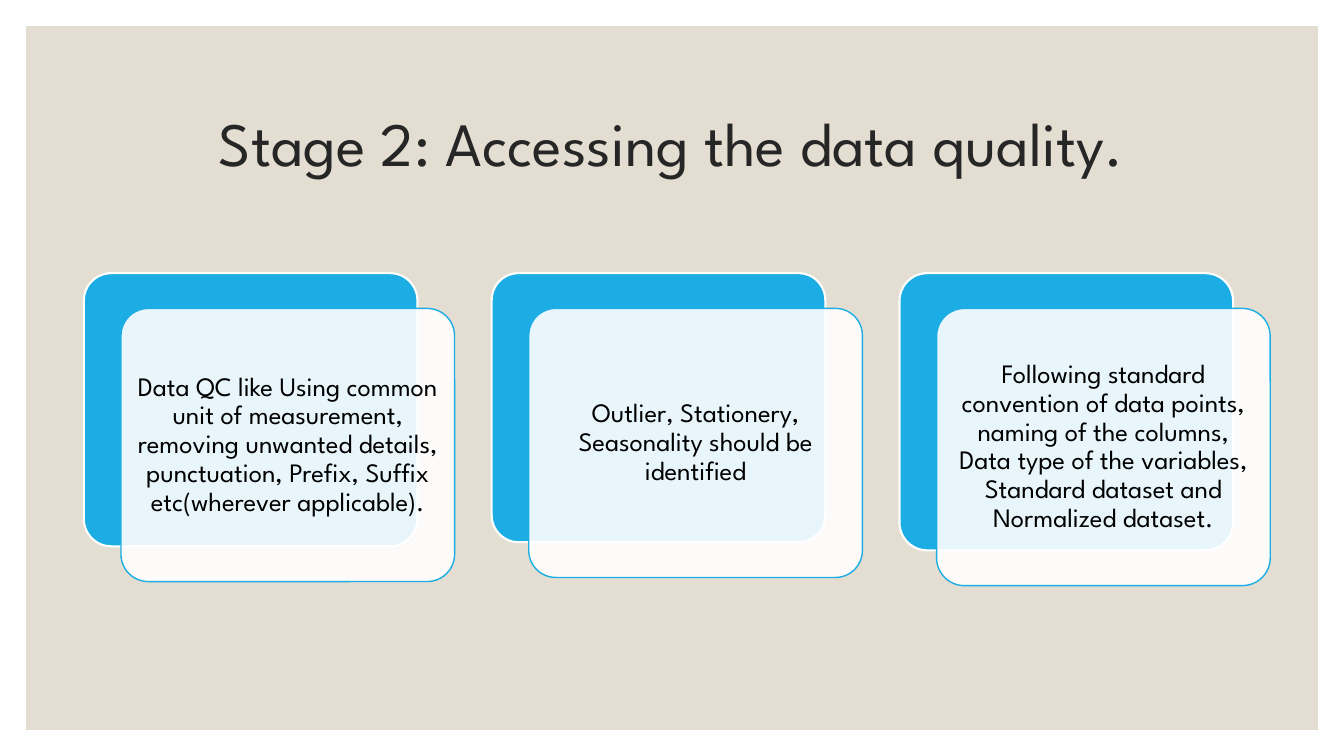
from lxml.etree import SubElement
from pptx import Presentation
from pptx.dml.color import RGBColor
from pptx.enum.shapes import MSO_SHAPE
from pptx.enum.text import MSO_ANCHOR, PP_ALIGN
from pptx.oxml.ns import qn
from pptx.util import Pt

# Content: title, then card text with card height
TITLE = "Stage 2: Accessing the data quality."
CARDS = [
    ("Data QC like Using common unit of measurement, removing unwanted details, "
     "punctuation, Prefix, Suffix etc(wherever applicable).", 195.1),
    ("Outlier, Stationery, Seasonality should be identified", 192.2),
    ("Following standard convention of data points, naming of the columns, "
     "Data type of the variables, Standard dataset and Normalized dataset.", 198),
]

THEME = {
    "font": "League Spartan", "title": 44, "body": 19,
    "sand": "E3DED1", "blue": "1CADE4", "white": "FFFFFF",
    "dark": "262626", "black": "000000",
}

# Layout in points
WIDE, HIGH = 960, 540
EDGE = 18.7
LEFT, TOP, STEP, CARD = 59.9, 195.1, 291.3, 238.3
SHIFT, DROP = 26.5, 25.2
PAD = 5.8


def color(name):
    return RGBColor.from_string(THEME[name])


def assign(item, values):
    for key, value in values.items():
        setattr(item, key, value)


def panel(slide, kind, box, fill, line=None, weight=0):
    shape = slide.shapes.add_shape(kind, *map(Pt, box))
    shape.shadow.inherit = False
    shape.fill.solid()
    shape.fill.fore_color.rgb = color(fill)
    if line:
        shape.line.color.rgb = color(line)
        shape.line.width = Pt(weight)
        shape.adjustments[0] = 0.1
    else:
        shape.line.fill.background()
    return shape


def write(shape, text, size, tone, pad):
    frame = shape.text_frame
    assign(frame, {"word_wrap": True, "vertical_anchor": MSO_ANCHOR.MIDDLE})
    assign(frame, {f"margin_{side}": Pt(pad)
                   for side in ("left", "right", "top", "bottom")})
    para = frame.paragraphs[0]
    assign(para, {"text": text, "alignment": PP_ALIGN.CENTER, "line_spacing": 0.9})
    assign(para.runs[0].font, {"name": THEME["font"], "size": Pt(THEME[size])})
    para.runs[0].font.color.rgb = color(tone)


def fade(shape, percent):
    tint = shape.fill._xPr.find(qn("a:solidFill"))[0]
    SubElement(tint, qn("a:alpha")).set("val", str(percent * 1000))


def main():
    deck = Presentation()
    assign(deck, {"slide_width": Pt(WIDE), "slide_height": Pt(HIGH)})
    slide = deck.slides.add_slide(deck.slide_layouts[6])

    # Backdrop and title
    panel(slide, MSO_SHAPE.RECTANGLE,
          (EDGE, EDGE, WIDE - 2 * EDGE, HIGH - 2 * EDGE), "sand")
    head = slide.shapes.add_textbox(Pt(84), Pt(50.4), Pt(792), Pt(108))
    write(head, TITLE, "title", "dark", 3.6)

    # Cards: blue back, translucent front with text
    for col, (text, tall) in enumerate(CARDS):
        left = LEFT + col * STEP
        panel(slide, MSO_SHAPE.ROUNDED_RECTANGLE,
              (left, TOP, CARD, tall), "blue", "white", 1.5)
        front = panel(slide, MSO_SHAPE.ROUNDED_RECTANGLE,
                      (left + SHIFT, TOP + DROP, CARD, tall), "white", "blue", 1)
        fade(front, 90)
        write(front, text, "body", "black", PAD)

    deck.save("out.pptx")


if __name__ == "__main__":
    main()
